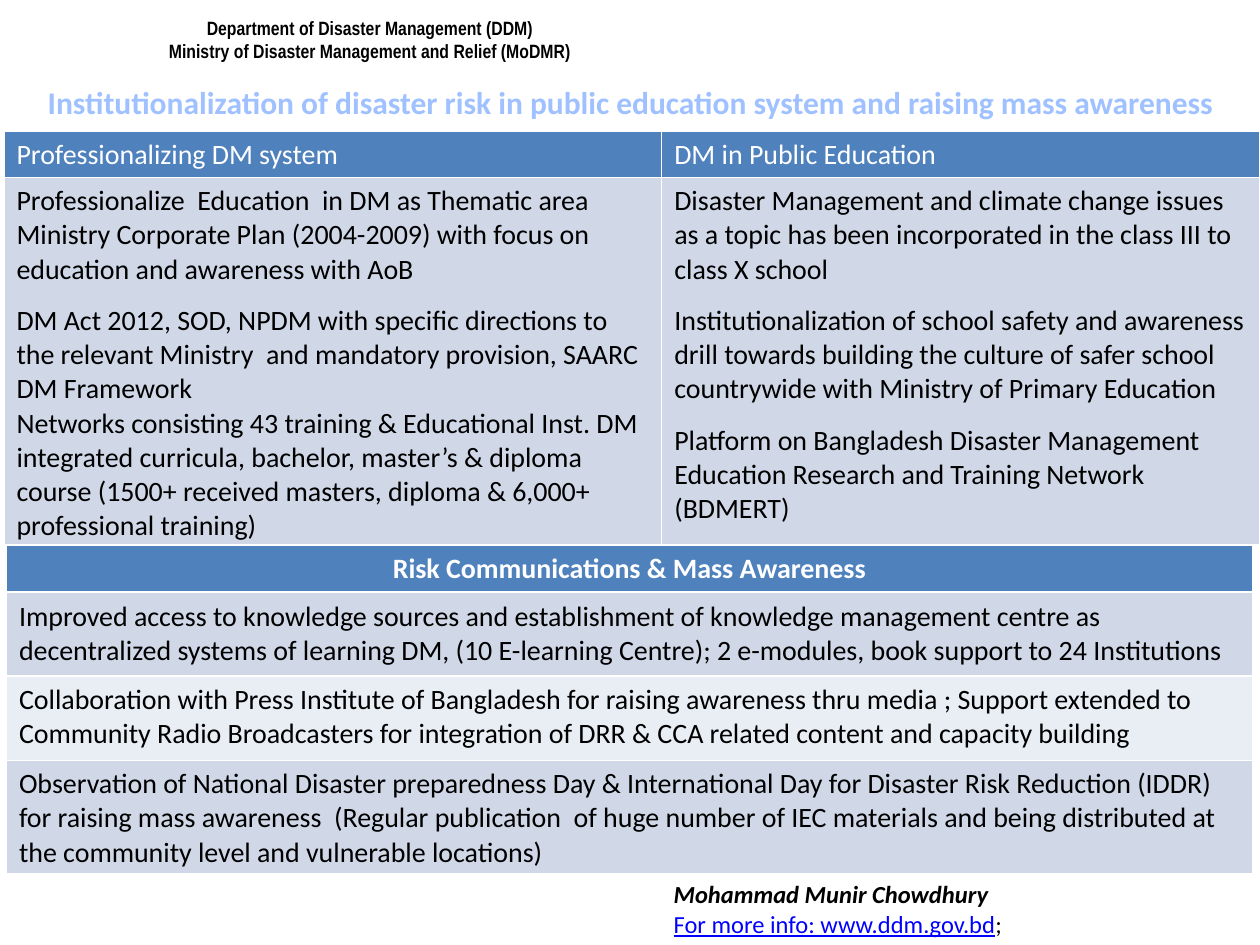
from pptx import Presentation
from pptx.dml.color import RGBColor
from pptx.enum.text import MSO_ANCHOR, MSO_AUTO_SIZE, PP_ALIGN
from pptx.util import Cm, Pt

CENTER = PP_ALIGN.CENTER
MIDDLE = MSO_ANCHOR.MIDDLE
GROW = MSO_AUTO_SIZE.SHAPE_TO_FIT_TEXT

COLORS = {
    "black": "000000",
    "white": "FFFFFF",
    "title": "A0C1FF",
    "link": "0000FF",
    "header": "4F81BD",
    "band_dark": "D0D8E8",
    "band_light": "E9EDF4",
}

SYSTEM_POINTS = [
    ("Professionalize  Education  in DM as Thematic area", 0),
    ("Ministry Corporate Plan (2004-2009) with focus on education and awareness with AoB", 0),
    ("DM Act 2012, SOD, NPDM with specific directions to the relevant Ministry  and mandatory "
     "provision, SAARC DM Framework", 9.8),
    ("Networks consisting 43 training & Educational Inst. DM integrated curricula, bachelor, "
     "master’s & diploma course (1500+ received masters, diploma & 6,000+ professional training)", 0),
]
EDUCATION_POINTS = [
    ("Disaster Management and climate change issues as a topic has been incorporated in the "
     "class III to class X school", 0),
    ("Institutionalization of school safety and awareness drill towards building the culture of "
     "safer school countrywide with Ministry of Primary Education", 9.8),
    ("Platform on Bangladesh Disaster Management Education Research and Training Network (BDMERT)", 9.8),
]
AWARENESS_POINTS = [
    "Improved access to knowledge sources and establishment of knowledge management centre as "
    "decentralized systems of learning DM, (10 E-learning Centre); 2 e-modules, book support to "
    "24 Institutions",
    "Collaboration with Press Institute of Bangladesh for raising awareness thru media ; Support "
    "extended to Community Radio Broadcasters for integration of DRR & CCA related content and "
    "capacity building",
    "Observation of National Disaster preparedness Day & International Day for Disaster Risk "
    "Reduction (IDDR) for raising mass awareness  (Regular publication  of huge number of IEC "
    "materials and being distributed at the community level and vulnerable locations)",
]


def color(name):
    return RGBColor.from_string(COLORS[name])


def style(font, size, ink, bold=False, italic=False, face="Calibri"):
    font.name = face
    font.size = Pt(size)
    font.bold = bold
    font.italic = italic
    font.color.rgb = color(ink)


def add_text_frame(slide, box, wrap=True):
    frame = slide.shapes.add_textbox(*map(Cm, box)).text_frame
    frame.word_wrap = wrap
    frame.auto_size = GROW
    return frame


def fill_cell(cell, points, fill, ink="black", bold=False, align=None):
    cell.fill.solid()
    cell.fill.fore_color.rgb = color(fill)
    cell.text = "\n".join(words for words, _ in points)
    for paragraph, (_, gap) in zip(cell.text_frame.paragraphs, points):
        paragraph.alignment = align
        paragraph.space_before = Pt(gap)
        style(paragraph.font, 16, ink, bold)


def add_grid(slide, box, widths, heights):
    table = slide.shapes.add_table(len(heights), len(widths), *map(Cm, box)).table
    for column, width in zip(table.columns, widths):
        column.width = Cm(width)
    for row, height in zip(table.rows, heights):
        row.height = Cm(height)
    return table


def add_department(slide, box):
    frame = add_text_frame(slide, box)
    frame.text = ("Department of Disaster Management (DDM)\n"
                  "Ministry of Disaster Management and Relief (MoDMR)")
    for paragraph in frame.paragraphs:
        paragraph.alignment = CENTER
        style(paragraph.font, 11, "black", bold=True, face="Arial Narrow")


def add_title(slide, box):
    frame = add_text_frame(slide, box)
    frame.vertical_anchor = MIDDLE
    frame.text = ("Institutionalization of disaster risk in public education system "
                  "and raising mass awareness")
    heading = frame.paragraphs[0]
    heading.alignment = CENTER
    style(heading.font, 18, "title", bold=True)


def add_education_table(slide, box):
    left, top, width, height = box
    header_height, system_width = 0.93, 13.26
    table = add_grid(slide, box, [system_width, width - system_width],
                     [header_height, height - header_height])
    columns = [("Professionalizing DM system", SYSTEM_POINTS),
               ("DM in Public Education", EDUCATION_POINTS)]
    for index, (heading, points) in enumerate(columns):
        fill_cell(table.cell(0, index), [(heading, 0)], "header", "white")
        fill_cell(table.cell(1, index), points, "band_dark")


def add_awareness_table(slide, box):
    table = add_grid(slide, box, [box[2]], [0.93, 1.7, 1.7, 2.27])
    fill_cell(table.cell(0, 0), [("Risk Communications & Mass Awareness", 0)],
              "header", "white", True, CENTER)
    for row, point in enumerate(AWARENESS_POINTS, start=1):
        fill_cell(table.cell(row, 0), [(point, 0)], "band_dark" if row % 2 else "band_light")
    table.cell(1, 0).vertical_anchor = MIDDLE


def add_contact(slide, box):
    frame = add_text_frame(slide, box, wrap=False)
    frame.text = "Mohammad Munir Chowdhury"
    style(frame.paragraphs[0].font, 14, "black", bold=True, italic=True)
    info = frame.add_paragraph()
    style(info.font, 14, "black")
    address = info.add_run()
    address.text = "For more info: www.ddm.gov.bd"
    address.font.underline = True
    address.font.color.rgb = color("link")
    info.add_run().text = ";"


def main():
    deck = Presentation()
    deck.slide_width, deck.slide_height = Cm(25.4), Cm(19.05)
    slide = deck.slides.add_slide(deck.slide_layouts[6])
    add_department(slide, (2.23, 0.2, 10.46, 1.19))
    add_title(slide, (0.02, 1.55, 25.4, 1.02))
    add_contact(slide, (13.33, 17.6, 7.29, 1.45))
    add_awareness_table(slide, (0.13, 11, 25.12, 6.6))
    add_education_table(slide, (0.08, 2.65, 25.32, 8.33))
    deck.save("out.pptx")


if __name__ == "__main__":
    main()
